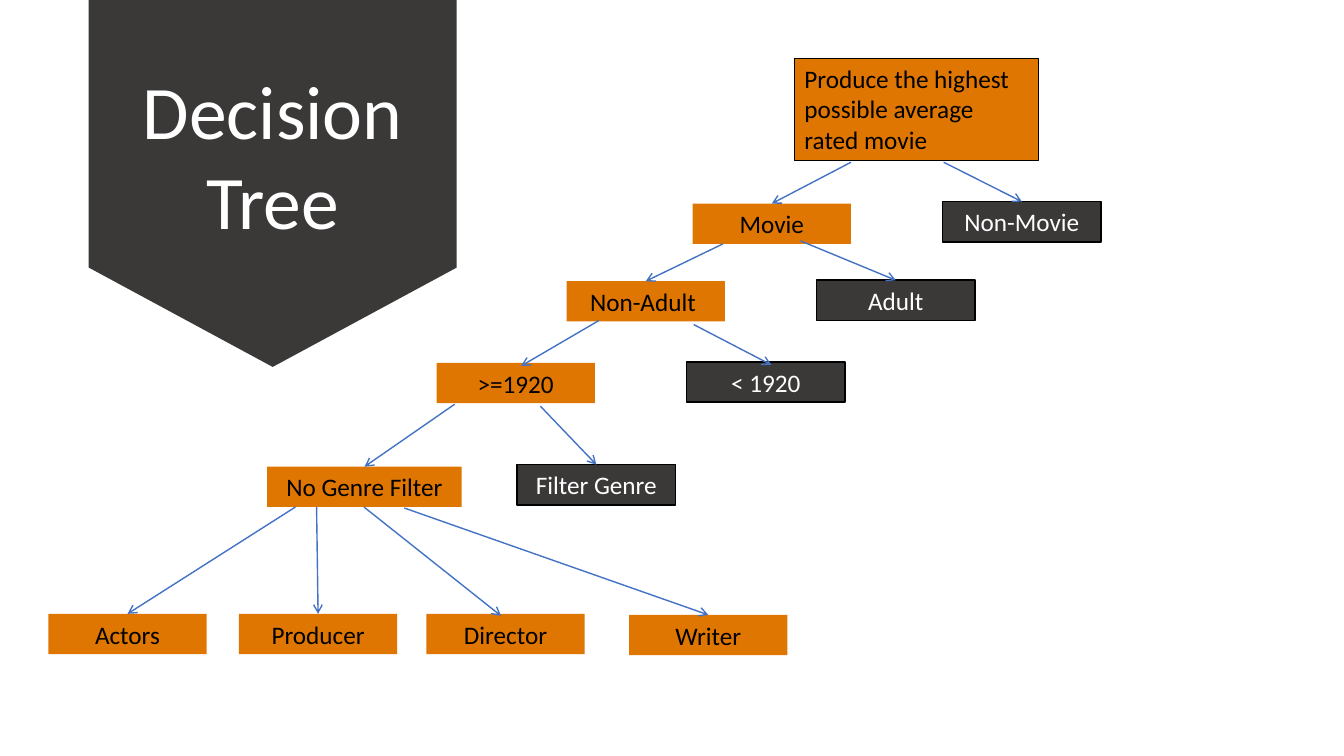
from pptx import Presentation
from pptx.dml.color import RGBColor
from pptx.enum.shapes import MSO_CONNECTOR, MSO_SHAPE
from pptx.enum.text import MSO_ANCHOR, MSO_AUTO_SIZE, PP_ALIGN
from pptx.oxml import parse_xml
from pptx.oxml.ns import nsdecls, qn
from pptx.util import Inches, Pt

RECT, ARROW = MSO_SHAPE.RECTANGLE, MSO_SHAPE.DOWN_ARROW
STRAIGHT = MSO_CONNECTOR.STRAIGHT
LEFT, CENTER = PP_ALIGN.LEFT, PP_ALIGN.CENTER
TOP, GROW = MSO_ANCHOR.TOP, MSO_AUTO_SIZE.SHAPE_TO_FIT_TEXT

HUES = {
    "orange": "E07602", "dark": "3B3838", "blue": "4472C4",
    "black": "000000", "white": "FFFFFF",
}
WIDE, HIGH = 1.57, 0.4


def put(obj, values):
    for name, value in values.items():
        setattr(obj, name, value)


class Board:
    face = "Calibri"
    frame = {"word_wrap": True, "vertical_anchor": TOP, "auto_size": GROW}

    def __init__(self, slide):
        self.shapes = slide.shapes

    def hue(self, name):
        return RGBColor.from_string(HUES[name])

    def words(self, shape, text, color, size=18, align=CENTER):
        put(shape.text_frame, self.frame)
        para = shape.text_frame.paragraphs[0]
        para.alignment = align
        run = para.add_run()
        run.text = text
        put(run.font, {"name": self.face, "size": Pt(size)})
        run.font.color.rgb = self.hue(color)

    def block(self, kind, area, fill, edge=0):
        shape = self.shapes.add_shape(kind, *map(Inches, area))
        shape.shadow.inherit = False
        shape.fill.solid()
        shape.fill.fore_color.rgb = self.hue(fill)
        if edge:
            shape.line.color.rgb = self.hue("black")
            shape.line.width = Pt(edge)
        else:
            shape.line.fill.background()
        return shape

    def node(self, text, area, kept=True):
        fill, color, edge = ("orange", "black", 0) if kept else ("dark", "white", 1)
        shape = self.block(RECT, area, fill, edge)
        self.words(shape, text, color)
        return shape

    def label(self, text, area, color, size):
        box = self.shapes.add_textbox(*map(Inches, area))
        self.words(box, text, color, size)

    def link(self, start, node, end=None):
        """Draw an arrow to a point, or to the top middle of the node."""
        line = self.shapes.add_connector(
            STRAIGHT, *map(Inches, start), *map(Inches, end or start))
        if not end:
            line.end_connect(node, 0)
        line.line.color.rgb = self.hue("blue")
        line.line.width = Pt(1)
        props = line.element.spPr
        props.find(qn("a:ln")).append(
            parse_xml(f'<a:tailEnd {nsdecls("a")} type="arrow"/>'))
        props.append(parse_xml(f'<a:effectLst {nsdecls("a")}/>'))


# text, left, top, width, kept branch, arrow start, arrow end if off the middle
NODES = [
    ("Movie", 6.87, 2.02, WIDE, True, (8.44, 1.61), None),
    ("Non-Movie", 9.35, 2, WIDE, False, (9.36, 1.61), None),
    ("Non-Adult ", 5.62, 2.79, WIDE, True, (7.17, 2.42), None),
    ("Adult", 8.1, 2.78, WIDE, False, (7.94, 2.39), None),
    (">=1920", 4.33, 3.6, WIDE, True, (5.94, 3.18), (5.17, 3.63)),
    ("< 1920", 6.81, 3.59, WIDE, False, (6.88, 3.22), (7.65, 3.62)),
    ("No Genre Filter", 2.65, 4.63, 1.93, True, (4.51, 4.01), None),
    ("Filter Genre", 5.13, 4.61, WIDE, False, (5.36, 4.03), None),
    ("Actors", 0.48, 6.09, WIDE, True, (2.93, 5.03), None),
    ("Producer", 2.37, 6.09, WIDE, True, (3.14, 5.03), None),
    ("Director", 4.23, 6.09, WIDE, True, (3.61, 5.03), (4.97, 6.11)),
    ("Writer", 6.24, 6.1, WIDE, True, (4.01, 5.04), None),
]


def main():
    deck = Presentation()
    put(deck, {"slide_width": Inches(13.33), "slide_height": Inches(7.5)})
    board = Board(deck.slides.add_slide(deck.slide_layouts[6]))

    # Root of the tree
    root = board.block(RECT, (7.88, 0.58, 2.42, 1.01), "orange", 0.5)
    board.words(root, "Produce the highest possible average rated movie",
                "black", align=LEFT)

    # Branches, then the arrows above them
    links = []
    for text, left, top, width, kept, start, end in NODES:
        node = board.node(text, (left, top, width, HIGH), kept)
        links.append((start, node, end))
    for link in links:
        board.link(*link)

    # Title banner
    banner = board.block(ARROW, (0.88, -0.01, 3.65, 3.65), "dark")
    banner.adjustments[0] = 1
    banner.adjustments[1] = 0.27
    board.label("Decision Tree", (1.22, 0.58, 2.97, 1.92), "white", 54)

    deck.save("out.pptx")


if __name__ == "__main__":
    main()
